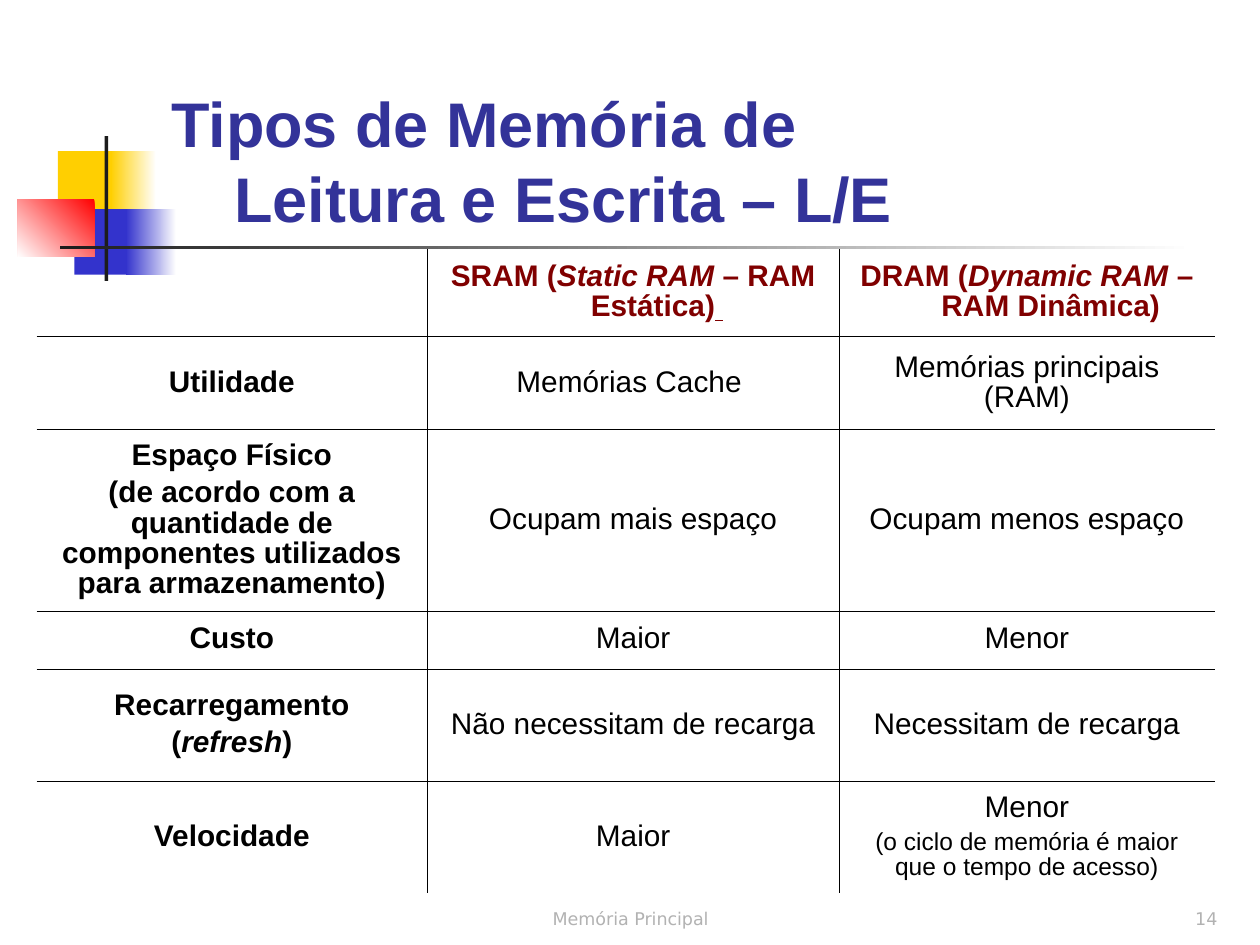
from pptx import Presentation
from pptx.dml.color import RGBColor
from pptx.enum.shapes import MSO_SHAPE
from pptx.enum.text import MSO_ANCHOR, MSO_AUTO_SIZE, PP_ALIGN
from pptx.oxml.ns import qn
from pptx.util import Inches, Pt
from lxml import etree

RECTANGLE = MSO_SHAPE.RECTANGLE
LEFT, CENTER, RIGHT = PP_ALIGN.LEFT, PP_ALIGN.CENTER, PP_ALIGN.RIGHT
MIDDLE, BOTTOM = MSO_ANCHOR.MIDDLE, MSO_ANCHOR.BOTTOM
NO_AUTOFIT = MSO_AUTO_SIZE.NONE

WHITE, YELLOW, BLUE, RED, DARK = "FFFFFF", "FFCF01", "3333CC", "FF0000", "1C1C1C"
BLACK, MAROON, TITLE_BLUE, GRAY = "000000", "800000", "333399", "B2B2B2"

# Left, top, width, height, colours along the gradient, clockwise angle
ORNAMENTS = [
    (0.46, 1.2, 0.48, 0.52, [YELLOW], 0),
    (0.88, 1.2, 0.36, 0.52, [WHITE, YELLOW], 180),
    (0.59, 1.66, 0.46, 0.52, [BLUE], 0),
    (1, 1.66, 0.4, 0.52, [WHITE, BLUE], 180),
    (0.14, 1.58, 0.61, 0.46, [RED, WHITE], 135),
    (0.83, 1.08, 0.03, 1.15, [DARK], 0),
    (0.48, 1.95, 9, 0.03, [WHITE, DARK], 180),
]

COLUMN_WIDTHS = [3.1, 3.27, 2.98]
ROW_HEIGHTS = [0.69, 0.74, 1.44, 0.46, 0.89, 0.89]
ITALIC = {"italic": True}

# Each cell is a list of paragraphs; each paragraph is a list of (text, format)
TABLE_ROWS = [
    [
        [],
        [[("SRAM (", {}), ("Static RAM ", ITALIC), ("– RAM Estática)", {}),
          (" ", {"underline": True})]],
        [[("DRAM (", {}), ("Dynamic RAM", ITALIC), (" – RAM Dinâmica)", {})]],
    ],
    [
        [[("Utilidade", {})]],
        [[("Memórias Cache ", {})]],
        [[("Memórias principais (RAM)", {})]],
    ],
    [
        [[("Espaço Físico", {})],
         [("(de acordo com a quantidade de componentes utilizados "
           "para armazenamento)", {})]],
        [[("Ocupam mais espaço", {})]],
        [[("Ocupam menos espaço", {})]],
    ],
    [
        [[("Custo", {})]],
        [[("Maior", {})]],
        [[("Menor", {})]],
    ],
    [
        [[("Recarregamento", {})],
         [("(", {}), ("refresh", ITALIC), (")", {})]],
        [[("Não necessitam de recarga", {})]],
        [[("Necessitam de recarga", {})]],
    ],
    [
        [[("Velocidade", {})]],
        [[("Maior", {})]],
        [[("Menor", {})],
         [("(o ciclo de memória é maior que o tempo de acesso)", {"size": 14})]],
    ],
]


def rgb(hex_color):
    return RGBColor.from_string(hex_color)


def add_text(paragraph, text, size=17, font="Arial", color=BLACK,
             bold=False, italic=False, underline=False):
    run = paragraph.add_run()
    run.text = text
    run.font.size = Pt(size)
    run.font.name = font
    run.font.color.rgb = rgb(color)
    run.font.bold = bold
    run.font.italic = italic
    run.font.underline = underline


def add_ornament(slide, left, top, width, height, colors, angle):
    shape = slide.shapes.add_shape(
        RECTANGLE, Inches(left), Inches(top), Inches(width), Inches(height))
    shape.shadow.inherit = False
    shape.line.fill.background()
    if len(colors) == 1:
        shape.fill.solid()
        shape.fill.fore_color.rgb = rgb(colors[0])
        return
    shape.fill.gradient()
    shape.fill.gradient_angle = 360 - angle  # this property is counter-clockwise
    for stop, color in zip(shape.fill.gradient_stops, colors):
        stop.color.rgb = rgb(color)


def fill_title(slide):
    title = slide.shapes.title
    title.left, title.top = Inches(1.26), Inches(0.67)
    title.width, title.height = Inches(8.52), Inches(1.25)
    frame = title.text_frame
    frame.auto_size = NO_AUTOFIT
    frame.vertical_anchor = BOTTOM
    paragraph = frame.paragraphs[0]
    paragraph.alignment = LEFT
    style = {"size": 36, "color": TITLE_BLUE, "bold": True}
    add_text(paragraph, "Tipos de Memória de ", **style)
    paragraph.add_line_break()
    add_text(paragraph, "\tLeitura e Escrita – L/E", **style)


def set_borders(cell, visible_sides):
    properties = cell._tc.get_or_add_tcPr()
    for position, side in enumerate("LRTB"):
        line = etree.Element(qn(f"a:ln{side}"), w=str(Pt(0.45)))
        if side in visible_sides:
            fill = etree.SubElement(line, qn("a:solidFill"))
            etree.SubElement(fill, qn("a:srgbClr"), val=BLACK)
        else:
            etree.SubElement(line, qn("a:noFill"))
        properties.insert(position, line)


def fill_cell(cell, paragraphs, style, hanging):
    cell.fill.background()
    cell.vertical_anchor = MIDDLE
    frame = cell.text_frame
    for index, runs in enumerate(paragraphs):
        paragraph = frame.add_paragraph() if index else frame.paragraphs[0]
        paragraph.alignment = CENTER
        paragraph.line_spacing = 0.9
        paragraph.space_before = Pt(4.2)
        if hanging:
            properties = paragraph._p.get_or_add_pPr()
            properties.set("marL", str(Inches(0.38)))
            properties.set("indent", str(-Inches(0.38)))
        for text, run_format in runs:
            add_text(paragraph, text, **{**style, **run_format})


def add_comparison_table(slide):
    row_count, column_count = len(ROW_HEIGHTS), len(COLUMN_WIDTHS)
    table = slide.shapes.add_table(
        row_count, column_count, Inches(0.29), Inches(1.98),
        Inches(sum(COLUMN_WIDTHS)), Inches(sum(ROW_HEIGHTS))).table
    table.first_row = table.horz_banding = False
    for column, width in zip(table.columns, COLUMN_WIDTHS):
        column.width = Inches(width)
    for row_index, (row, height) in enumerate(zip(table.rows, ROW_HEIGHTS)):
        row.height = Inches(height)
        header = row_index == 0
        for column_index, cell in enumerate(row.cells):
            style = {"bold": header or column_index == 0,
                     "color": MAROON if header else BLACK}
            fill_cell(cell, TABLE_ROWS[row_index][column_index], style, header)
            # Only the inner grid lines are drawn
            inner = {"L": column_index > 0, "R": column_index < column_count - 1,
                     "T": row_index > 0, "B": row_index < row_count - 1}
            set_borders(cell, [side for side, shown in inner.items() if shown])


def add_footer(slide, text, left, width, alignment):
    frame = slide.shapes.add_textbox(
        Inches(left), Inches(6.92), Inches(width), Inches(0.5)).text_frame
    frame.word_wrap = True
    frame.vertical_anchor = BOTTOM
    paragraph = frame.paragraphs[0]
    paragraph.alignment = alignment
    add_text(paragraph, text, size=10, font="DejaVu Sans", color=GRAY)


def main():
    presentation = Presentation()
    presentation.slide_width, presentation.slide_height = Inches(10), Inches(7.5)
    slide = presentation.slides.add_slide(presentation.slide_layouts[5])

    # Decorative squares and rules beside the title
    for ornament in ORNAMENTS:
        add_ornament(slide, *ornament)

    # Title and table
    fill_title(slide)
    add_comparison_table(slide)

    # Page number and footer
    add_footer(slide, "14", 7.68, 2.08, RIGHT)
    add_footer(slide, "Memória Principal", 3.42, 3.17, CENTER)

    presentation.save("out.pptx")


if __name__ == "__main__":
    main()
